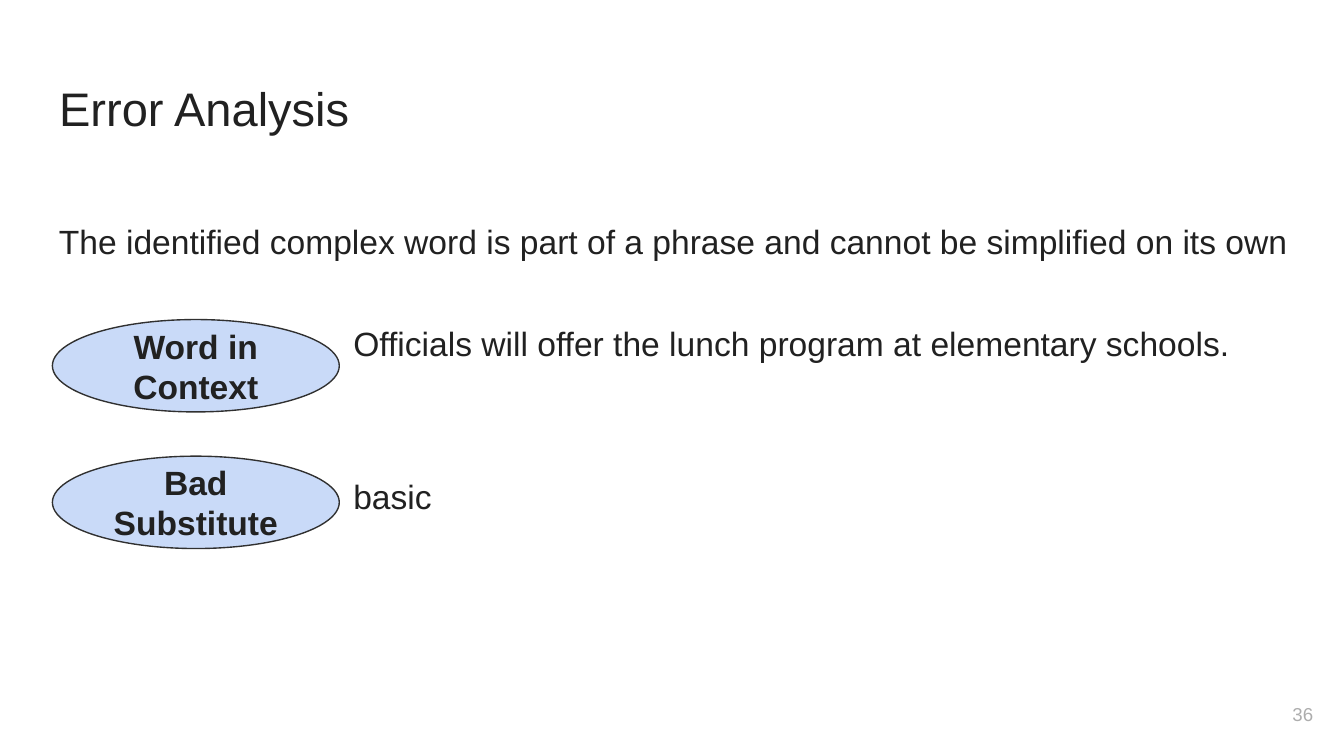
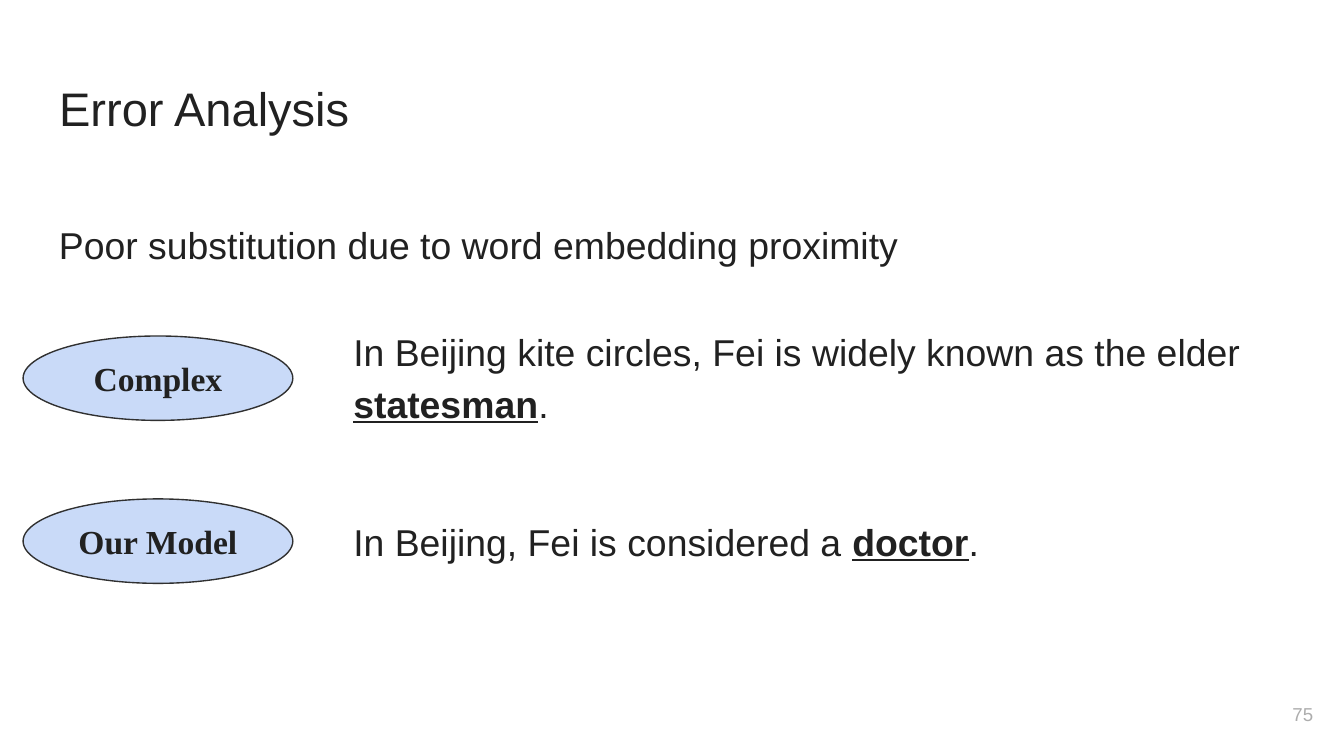
import pptx
import pptx.dml.color
import pptx.enum.shapes
import pptx.enum.text
import pptx.util

Pt = pptx.util.Pt
ALIGN = pptx.enum.text.PP_ALIGN
ANCHOR = pptx.enum.text.MSO_ANCHOR

INK, MUTED, OUTLINE, LABEL_FILL = "212121", "ADADAD", "303030", "C9DAF8"
SANS, SERIF = "Arial", "Times New Roman"
LEFT, CONTENT_WIDTH = 24.5, 671
SENTENCE_LEFT, SENTENCE_WIDTH = 182.2, 513.4
INSET = 7.2


def color(hex_value):
    """Turn a hex string into a colour."""
    return pptx.dml.color.RGBColor.from_string(hex_value)


def prepare_frame(frame, anchor=ANCHOR.TOP):
    """Give a text frame the shared insets, wrapping and anchor."""
    frame.word_wrap = True
    frame.auto_size = pptx.enum.text.MSO_AUTO_SIZE.NONE
    frame.vertical_anchor = anchor
    frame.margin_left = frame.margin_right = Pt(INSET)
    frame.margin_top = frame.margin_bottom = Pt(INSET)
    return frame


def write(paragraph, text, size, font=SANS, ink=INK, align=ALIGN.LEFT, bold=False, underline=False):
    """Add one styled run to a paragraph."""
    paragraph.alignment = align
    run = paragraph.add_run()
    run.text = text
    run.font.name = font
    run.font.size = Pt(size)
    run.font.color.rgb = color(ink)
    run.font.bold = bold
    run.font.underline = underline


def add_frame(slide, box, anchor=ANCHOR.TOP):
    """Add a text box and return its frame."""
    return prepare_frame(slide.shapes.add_textbox(*map(Pt, box)).text_frame, anchor)


def add_spaced_text(slide, box, size, before, keyword="", after="", space_after=0):
    """Add a loosely spaced paragraph with an optional stressed keyword."""
    paragraph = add_frame(slide, box).paragraphs[0]
    paragraph.line_spacing = 1.15
    paragraph.space_after = Pt(space_after)
    write(paragraph, before, size)
    if keyword:
        write(paragraph, keyword, size, bold=True, underline=True)
        write(paragraph, after, size)


def add_label(slide, box, text, font):
    """Add an elliptical row label."""
    label = slide.shapes.add_shape(pptx.enum.shapes.MSO_SHAPE.OVAL, *map(Pt, box))
    label.shadow.inherit = False
    label.fill.solid()
    label.fill.fore_color.rgb = color(LABEL_FILL)
    label.line.color.rgb = color(OUTLINE)
    label.line.width = Pt(0.75)
    paragraph = prepare_frame(label.text_frame, ANCHOR.MIDDLE).paragraphs[0]
    write(paragraph, text, 18, font, align=ALIGN.CENTER, bold=True)


def add_labels(slide, box, pitch, texts, font):
    """Stack labels downwards from the first label's box."""
    left, top, width, height = box
    for row, text in enumerate(texts):
        add_label(slide, (left, top + row * pitch, width, height), text, font)


def start_slide(deck, number):
    """Add a slide with the shared title and page number."""
    slide = deck.slides.add_slide(deck.slide_layouts[5])
    title = slide.shapes.title
    title.left, title.top = Pt(LEFT), Pt(35.3)
    title.width, title.height = Pt(CONTENT_WIDTH), Pt(45.4)
    write(prepare_frame(title.text_frame).paragraphs[0], "Error Analysis", 25.2)
    page = add_frame(slide, (667.4, 367.2, 43.2, 31), ANCHOR.MIDDLE).paragraphs[0]
    write(page, number, 10, ink=MUTED, align=ALIGN.RIGHT)
    return slide


def build_phrase_error(deck):
    """Show a complex word that belongs to a phrase."""
    slide = start_slide(deck, "36")
    add_spaced_text(slide, (LEFT, 108, 675.4, 39.6), 18,
                    "The identified complex word is part of a phrase and cannot be simplified on its own")
    examples = add_frame(slide, (SENTENCE_LEFT, 165.6, SENTENCE_WIDTH, 196.6))
    write(examples.paragraphs[0], "Officials will offer the lunch program at elementary schools.", 18)
    substitute = examples.add_paragraph()
    substitute.space_before = Pt(60.7)
    write(substitute, "basic", 18)
    add_labels(slide, (28.1, 171.2, 153.7, 49.5), 73.2, ("Word in Context", "Bad Substitute"), SANS)


def build_embedding_error(deck):
    """Show a poor substitute chosen by embedding proximity."""
    slide = start_slide(deck, "75")
    add_spaced_text(slide, (LEFT, 108, CONTENT_WIDTH, 39.6), 20,
                    "Poor substitution due to word embedding proximity", space_after=12)
    sentences = (
        ("In Beijing kite circles, Fei is widely known as the elder ", "statesman", "."),
        ("In Beijing, Fei is considered a ", "doctor", "."),
    )
    for row, parts in enumerate(sentences):
        box = (SENTENCE_LEFT, 165.6 + row * 101.5, SENTENCE_WIDTH, 95.8)
        add_spaced_text(slide, box, 20, *parts, space_after=12)
    add_labels(slide, (12.4, 180, 144.5, 45.2), 87.3, ("Complex", "Our Model"), SERIF)


def main():
    """Build and save the deck."""
    deck = pptx.Presentation()
    deck.slide_width, deck.slide_height = Pt(720), Pt(405)
    build_phrase_error(deck)
    build_embedding_error(deck)
    deck.save("out.pptx")


if __name__ == "__main__":
    main()
